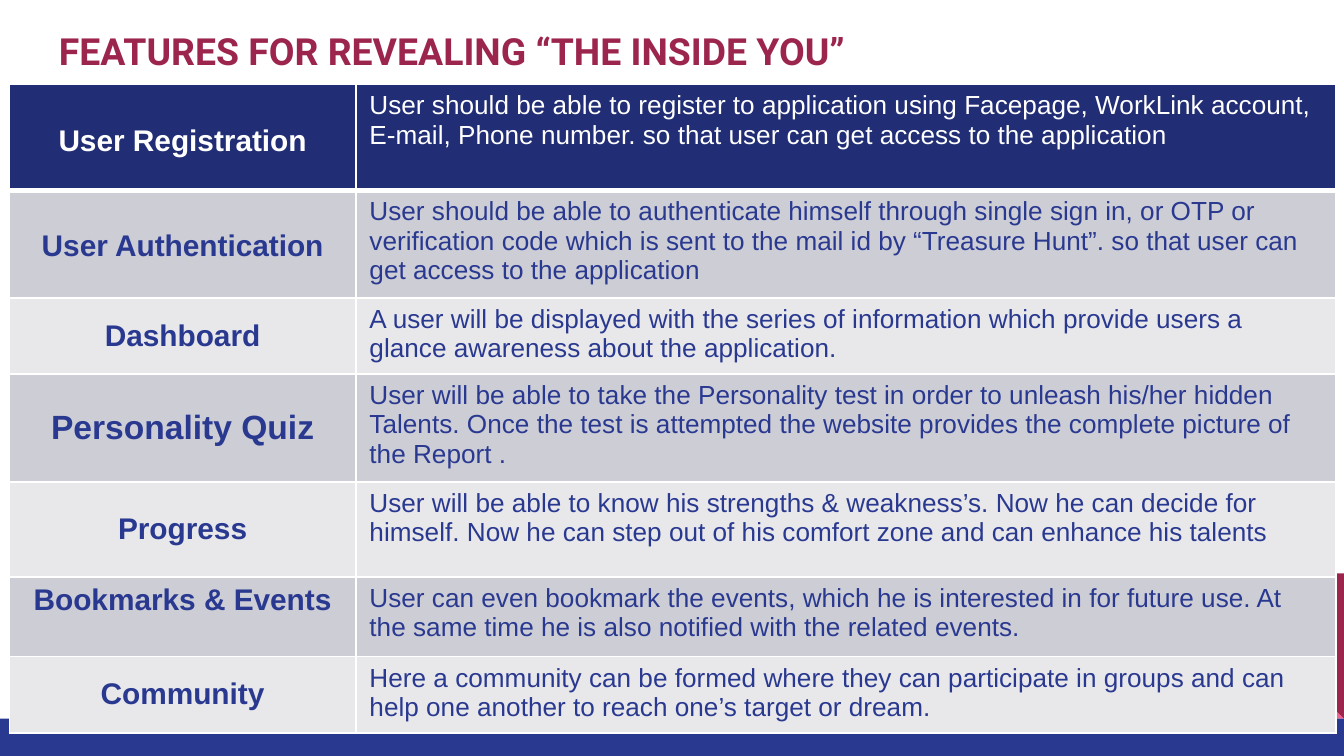
import pptx
import pptx.util
import pptx.dml.color
import pptx.enum.shapes
import pptx.enum.text
import pptx.oxml
import pptx.oxml.ns

Pt = pptx.util.Pt
SHAPE = pptx.enum.shapes.MSO_SHAPE
ANCHOR = pptx.enum.text.MSO_ANCHOR
ALIGN = pptx.enum.text.PP_ALIGN

COLORS = {
    "white": "FFFFFF", "navy": "212D74", "blue": "2A3990", "maroon": "9C254D",
    "pink": "F06292", "dark_band": "CDCDD6", "light_band": "E8E8EB",
}
TITLE_FONT = {"name": "Roboto", "size": Pt(20), "bold": True}
NAME_FONT = {"name": "Arial", "size": Pt(16), "bold": True}
DETAIL_FONT = {"name": "Arial", "size": Pt(14), "bold": False}
DOUBLE_SPACED = {"line_spacing": 2.0}
COLUMN_WIDTHS = (185.76, 524.88)
FEATURES = [
    (56.7, "User Registration", ANCHOR.TOP, DOUBLE_SPACED, {},
     "User should be able to register to application using Facepage, WorkLink account, "
     "E-mail, Phone number. so that user can get access to the application"),
    (56.7, "User Authentication", ANCHOR.TOP, DOUBLE_SPACED, {},
     "User should be able to authenticate himself through single sign in, or OTP or "
     "verification code which is sent to the mail id by “Treasure Hunt”. so that user can "
     "get access to the application"),
    (40.3, "Dashboard", ANCHOR.MIDDLE, {}, {},
     "A user will be displayed with the series of information which provide users a "
     "glance awareness about the application."),
    (56.7, "Personality Quiz", ANCHOR.MIDDLE, {}, {"size": Pt(18)},
     "User will be able to take the Personality test in order to unleash his/her hidden "
     "Talents. Once the test is attempted the website provides the complete picture of "
     "the Report ."),
    (51, "Progress", ANCHOR.MIDDLE, {}, {},
     "User will be able to know his strengths & weakness’s. Now he can decide for "
     "himself. Now he can step out of his comfort zone and can enhance his talents"),
    (42.7, "Bookmarks & Events", ANCHOR.TOP, {}, {},
     "User can even bookmark the events, which he is interested in for future use. At "
     "the same time he is also notified with the related events."),
    (38.6, "Community", ANCHOR.MIDDLE, {}, {},
     "Here a community can be formed where they can participate in groups and can "
     "help one another to reach one’s target or dream."),
]


def rgb(color):
    """Return the named colour as an RGB value."""
    return pptx.dml.color.RGBColor.from_string(COLORS[color])


def apply_format(target, values):
    """Set every attribute of the format dict on the target."""
    for attribute, value in values.items():
        setattr(target, attribute, value)


def write_text(frame, text, font, color, paragraph_format):
    """Write one formatted paragraph into a text frame."""
    paragraph = frame.paragraphs[0]
    run = paragraph.add_run()
    run.text = text
    apply_format(paragraph, paragraph_format)
    apply_format(run.font, font)
    run.font.color.rgb = rgb(color)


def add_block(slide, preset, box, color, rotation=0):
    """Add a plain filled shape without outline."""
    block = slide.shapes.add_shape(preset, *map(Pt, box))
    block.shadow.inherit = False
    block.fill.solid()
    block.fill.fore_color.rgb = rgb(color)
    block.line.fill.background()
    block.rotation = rotation


def add_footer(slide, left, top, width, height):
    """Add the bottom bar and the corner square of two triangles above it."""
    side = 77.8
    corner = (left + width - side, top - side, side, side)
    add_block(slide, SHAPE.RIGHT_TRIANGLE, corner, "pink")
    add_block(slide, SHAPE.RIGHT_TRIANGLE, corner, "maroon", 180)
    add_block(slide, SHAPE.RECTANGLE, (left, top, width, height), "blue")


def add_title(slide, left, top, width, height):
    """Add the heading of the slide."""
    heading = slide.shapes.add_textbox(*map(Pt, (left, top, width, height))).text_frame
    apply_format(heading, {
        "word_wrap": True, "vertical_anchor": ANCHOR.TOP, "margin_left": Pt(7.2),
        "margin_right": Pt(7.2), "margin_top": Pt(9), "margin_bottom": Pt(7.2)})
    write_text(heading, "FEATURES FOR REVEALING “THE INSIDE YOU”", TITLE_FONT, "maroon", {})


def set_borders(cell, widths):
    """Draw white cell borders with a width for each side."""
    properties = cell._tc.get_or_add_tcPr()
    for position, (side, width) in enumerate(widths.items()):
        properties.insert(position, pptx.oxml.parse_xml(
            f'<a:ln{side} {pptx.oxml.ns.nsdecls("a")} w="{Pt(width)}"><a:solidFill>'
            f'<a:srgbClr val="{COLORS["white"]}"/></a:solidFill></a:ln{side}>'))


def add_features(slide, left, top):
    """Add the table of feature names and details."""
    height = sum(feature[0] for feature in FEATURES)
    table = slide.shapes.add_table(
        len(FEATURES), 2, *map(Pt, (left, top, sum(COLUMN_WIDTHS), height))).table
    for column, width in zip(table.columns, COLUMN_WIDTHS):
        column.width = Pt(width)
    for index, (row_height, name, anchor, spacing, emphasis, detail) in enumerate(FEATURES):
        table.rows[index].height = Pt(row_height)
        band = "navy" if index == 0 else ("light_band", "dark_band")[index % 2]
        ink = "white" if index == 0 else "blue"
        borders = {"L": 1, "R": 1, "T": 3 if index == 1 else 1, "B": 3 if index == 0 else 1}
        name_cell, detail_cell = table.rows[index].cells
        for cell in (name_cell, detail_cell):
            cell.fill.solid()
            cell.fill.fore_color.rgb = rgb(band)
            set_borders(cell, borders)
        name_cell.vertical_anchor = anchor
        write_text(name_cell.text_frame, name, {**NAME_FONT, **emphasis}, ink,
                   {"alignment": ALIGN.CENTER, **spacing})
        write_text(detail_cell.text_frame, detail, DETAIL_FONT, ink, {})


def main():
    """Build and save the slide."""
    deck = pptx.Presentation()
    deck.slide_width, deck.slide_height = Pt(720), Pt(405)
    slide = deck.slides.add_slide(deck.slide_layouts[6])
    add_footer(slide, 0, 385, 720, 20)
    add_title(slide, 24.5, 5.8, 671, 35.3)
    add_features(slide, 5, 45.2)
    deck.save("out.pptx")


if __name__ == "__main__":
    main()
